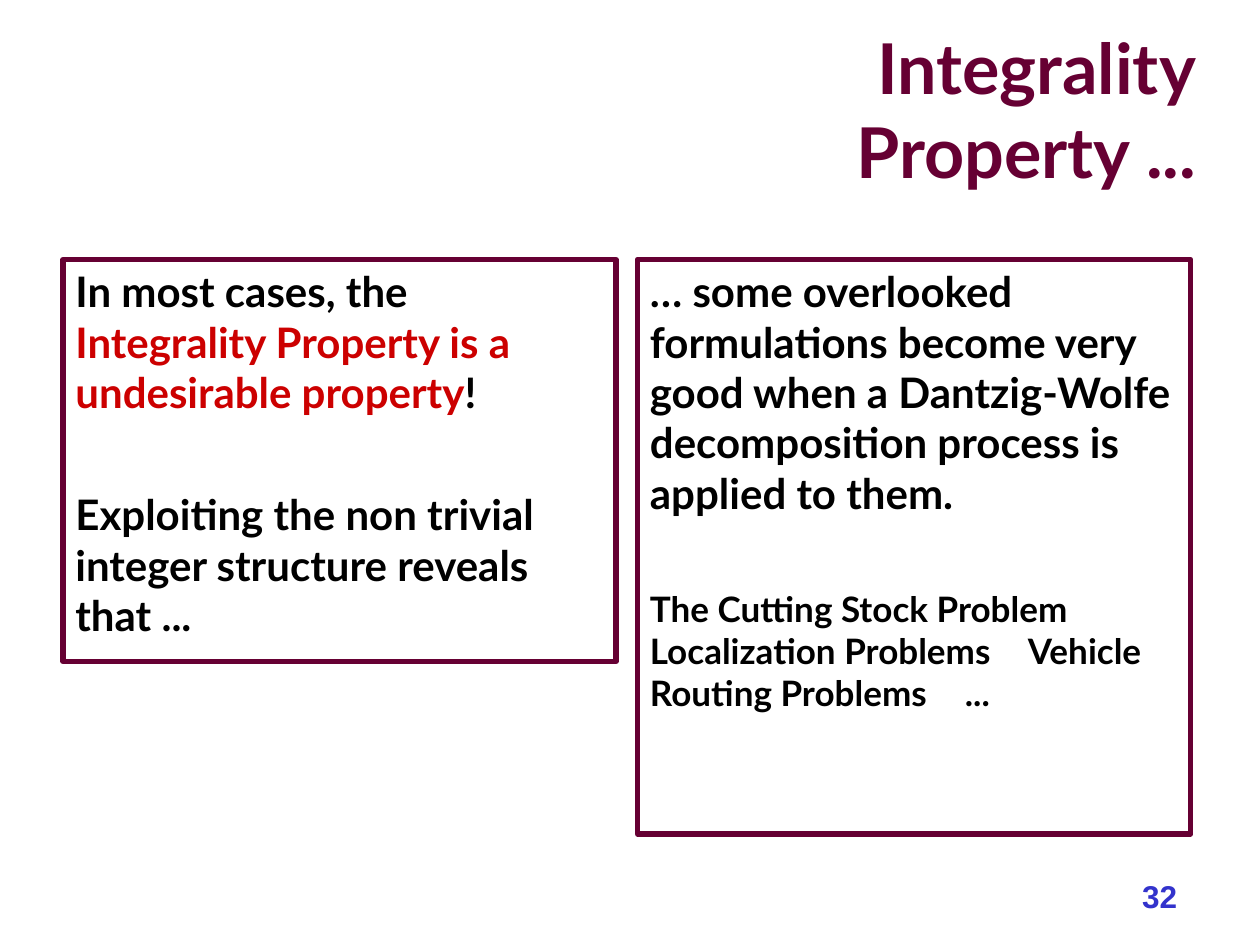
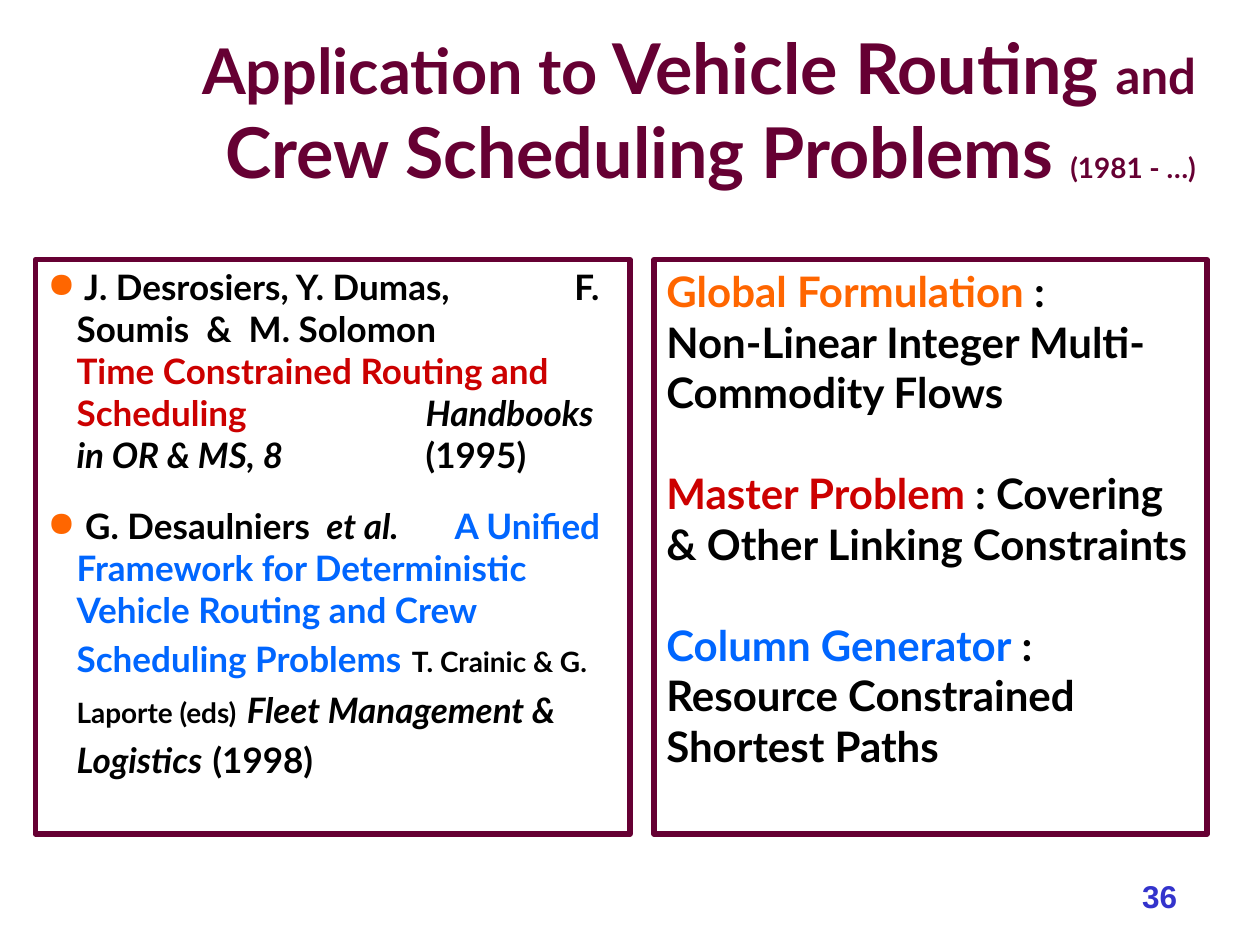
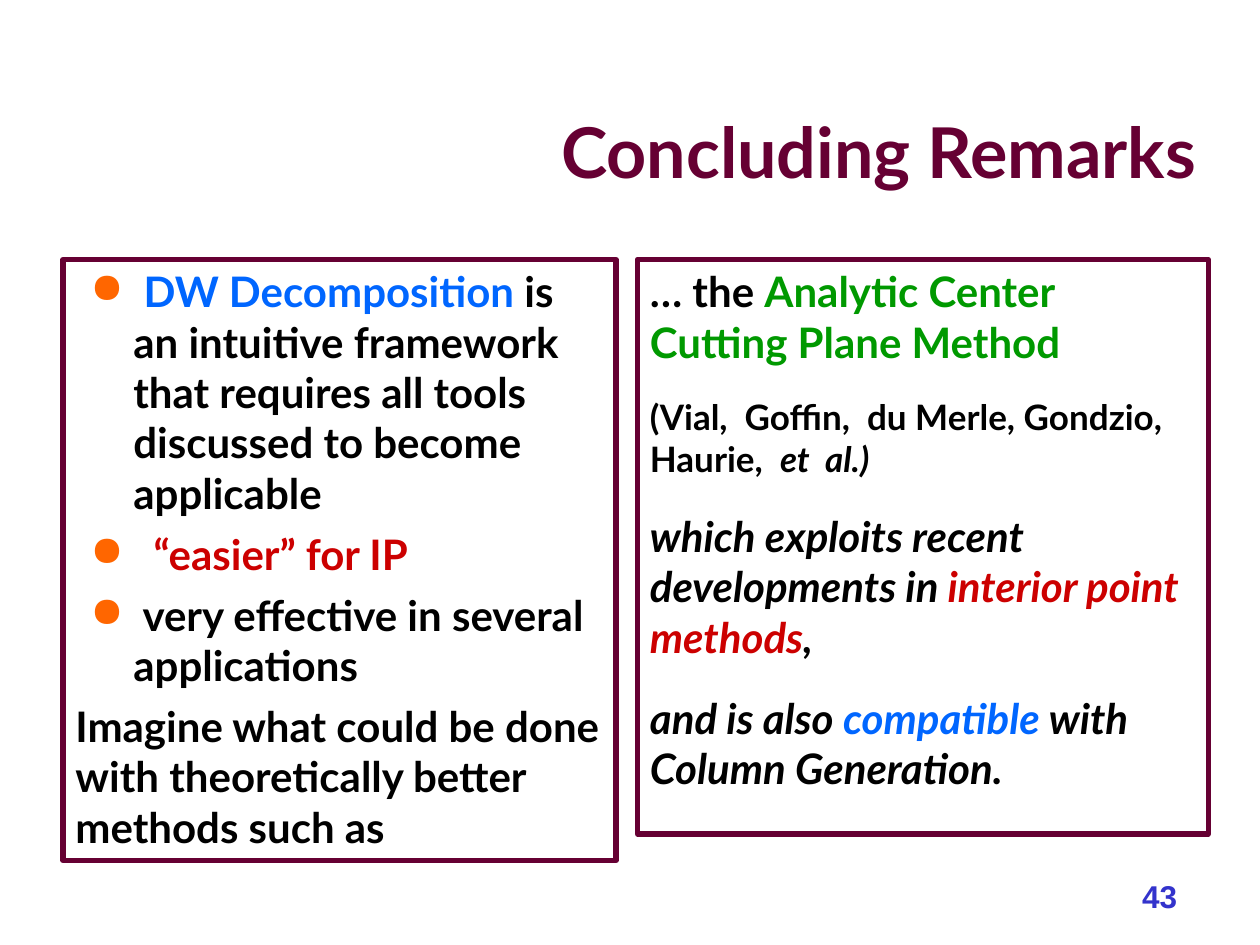
from typing import NamedTuple

from lxml import etree
from pptx import Presentation
from pptx.dml.color import RGBColor
from pptx.enum.shapes import MSO_SHAPE
from pptx.enum.text import MSO_ANCHOR, PP_ALIGN
from pptx.oxml.ns import qn
from pptx.util import Inches, Pt

RECTANGLE = MSO_SHAPE.RECTANGLE
TOP, BOTTOM = MSO_ANCHOR.TOP, MSO_ANCHOR.BOTTOM
LEFT, RIGHT = PP_ALIGN.LEFT, PP_ALIGN.RIGHT

PLUM, BLACK, RED = "660033", "000000", "CC0000"
ORANGE, BLUE, GREEN, INDIGO = "FF6600", "0066FF", "009900", "3333CC"
TITLE_SIZE, BODY_SIZE, DETAIL_SIZE = 40, 24, 20
INCH_TABS = (1, 2, 3, 4)
PANEL_TOP, PANEL_WIDTH, PANEL_HEIGHT = 2.06, 4.39, 4.56
LEFT_PANEL, RIGHT_PANEL = 0.5, 5.06


class Span(NamedTuple):
    text: str
    colour: str = BLACK
    size: float = BODY_SIZE
    italic: bool = False
    font: str = "Lato"


class Para(NamedTuple):
    """Spans with space before in points; margin and hang in inches make a bullet."""
    spans: list
    before: float = 6
    align: int = LEFT
    margin: float = 0
    hang: float = 0
    tabs: tuple = INCH_TABS


def rgb(colour):
    return RGBColor.from_string(colour)


def detail(text, colour=BLACK, italic=False):
    return Span(text, colour, DETAIL_SIZE, italic)


def heading(text, size=TITLE_SIZE):
    return Span(text, PLUM, size)


class Slides:
    def __init__(self):
        self.deck = Presentation()
        self.deck.slide_width, self.deck.slide_height = Inches(10), Inches(7.5)
        self.page = None

    def add_page(self, number, *title):
        self.page = self.deck.slides.add_slide(self.deck.slide_layouts[6])
        self.add_text(0.42, 0.25, 9.17, 1.33, Para(title, 0, RIGHT))
        label = Span(str(number), INDIGO, 18, font="Arial")
        self.add_text(5.83, 6.81, 3.61, 0.5, Para([label], 11.2, RIGHT))

    def add_text(self, left, top, width, height, para):
        box = self.page.shapes.add_textbox(
            Inches(left), Inches(top), Inches(width), Inches(height))
        self.fill_frame(box.text_frame, BOTTOM, [para])

    def add_panel(self, left, paras, width=PANEL_WIDTH, height=PANEL_HEIGHT):
        box = self.page.shapes.add_shape(
            RECTANGLE, Inches(left), Inches(PANEL_TOP), Inches(width), Inches(height))
        box.shadow.inherit = False
        box.fill.background()
        box.line.color.rgb = rgb(PLUM)
        box.line.width = Pt(3)
        self.fill_frame(box.text_frame, TOP, paras)

    def fill_frame(self, frame, anchor, paras):
        frame.word_wrap = True
        frame.vertical_anchor = anchor
        for index, para in enumerate(paras):
            target = frame.add_paragraph() if index else frame.paragraphs[0]
            target.alignment = para.align
            target.space_before = Pt(para.before)
            self.set_indent(target, para)
            for span in para.spans:
                self.add_span(target, span)

    def set_indent(self, target, para):
        properties = target._p.get_or_add_pPr()
        properties.set("marL", str(Inches(para.margin)))
        properties.set("indent", str(-Inches(para.hang)))
        if para.hang:
            colour = etree.SubElement(properties, qn("a:buClr"))
            etree.SubElement(colour, qn("a:srgbClr"), val=ORANGE)
            etree.SubElement(properties, qn("a:buChar"), char="●")
        else:
            etree.SubElement(properties, qn("a:buNone"))
        stops = etree.SubElement(properties, qn("a:tabLst"))
        for stop in para.tabs:
            etree.SubElement(stops, qn("a:tab"), pos=str(Inches(stop)), algn="l")

    def add_span(self, target, span):
        for index, line in enumerate(span.text.split("\n")):
            if index:
                target.add_line_break()
            run = target.add_run()
            run.text = line
            run.font.name = span.font
            run.font.size = Pt(span.size)
            run.font.bold = True
            run.font.italic = span.italic
            run.font.color.rgb = rgb(span.colour)


def add_integrality(slides):
    slides.add_page(32, heading("Integrality\nProperty ..."))
    slides.add_panel(LEFT_PANEL, [
        Para([Span("In most cases, the "),
              Span("Integrality Property is a undesirable property", RED),
              Span("!")]),
        Para([Span("Exploiting the non trivial integer structure reveals that ...")], 41),
    ], height=3.19)
    slides.add_panel(RIGHT_PANEL, [
        Para([Span("… some overlooked formulations become very good when a "
                   "Dantzig-Wolfe decomposition process is applied to them.")]),
        Para([detail("The Cutting Stock Problem\nLocalization Problems\t"
                     "Vehicle Routing Problems\t...")], 40),
    ])


def add_application(slides):
    slides.add_page(36, heading("Application to", 36), heading(" Vehicle Routing "),
                    heading("and", 28), heading(" Crew Scheduling Problems "),
                    heading("(1981 - …)", 16))
    slides.add_panel(5.19, [
        Para([Span("Global Formulation", ORANGE),
              Span(" :\nNon-Linear Integer Multi-Commodity Flows")]),
        Para([Span("Master Problem", RED),
              Span(" : Covering & Other Linking Constraints")], 29),
        Para([Span("Column Generator", BLUE),
              Span(" : Resource Constrained Shortest Paths")], 29),
    ])
    slides.add_panel(0.28, [
        Para([detail(" J. Desrosiers, Y. Dumas,\tF. Soumis  &  M. Solomon\n"),
              detail("Time Constrained Routing and Scheduling\t", RED),
              detail("Handbooks in OR & MS, 8\t", italic=True),
              detail("(1995)")],
             5, margin=0.23, hang=0.23, tabs=(3, 4.18)),
        Para([detail(" G. Desaulniers "),
              detail(" et al.\t", italic=True),
              detail("A Unified Framework for Deterministic Vehicle Routing "
                     "and Crew Scheduling Problems", BLUE),
              Span(" "),
              Span("T. Crainic & G. Laporte (eds)", size=16),
              Span(" "),
              detail("Fleet Management & Logistics", italic=True),
              Span(" "),
              detail("(1998)")],
             16.6, margin=0.23, hang=0.23, tabs=(3.23,)),
    ], width=4.72)


def add_conclusion(slides):
    slides.add_page(43, heading("Concluding Remarks"))
    remarks = [
        [Span(" "), Span("DW Decomposition", BLUE),
         Span(" is an intuitive framework that requires all tools discussed "
              "to become applicable")],
        [Span("  "), Span("“easier” for IP", RED)],
        [Span(" very effective in several applications")],
    ]
    bullets = [Para(spans, margin=0.46, hang=0.34) for spans in remarks]
    closing = Para([Span("Imagine what could be done with theoretically better "
                         "methods such as")])
    slides.add_panel(LEFT_PANEL, bullets + [closing], height=4.77)
    slides.add_panel(RIGHT_PANEL, [
        Para([Span("… the "), Span("Analytic Center Cutting Plane Method", GREEN)]),
        Para([detail("(Vial,  Goffin,  du Merle, Gondzio, Haurie,  "),
              detail("et  al.)", italic=True)], 16.6),
        Para([Span("which exploits recent developments in ", italic=True),
              Span("interior point methods", RED, italic=True),
              Span(",", italic=True)], 17.6),
        Para([Span("and is also ", italic=True),
              Span("compatible", BLUE, italic=True),
              Span(" with Column Generation.", italic=True)], 17.6),
    ], width=4.53)


def main():
    slides = Slides()
    add_integrality(slides)
    add_application(slides)
    add_conclusion(slides)
    slides.deck.save("out.pptx")


if __name__ == "__main__":
    main()
